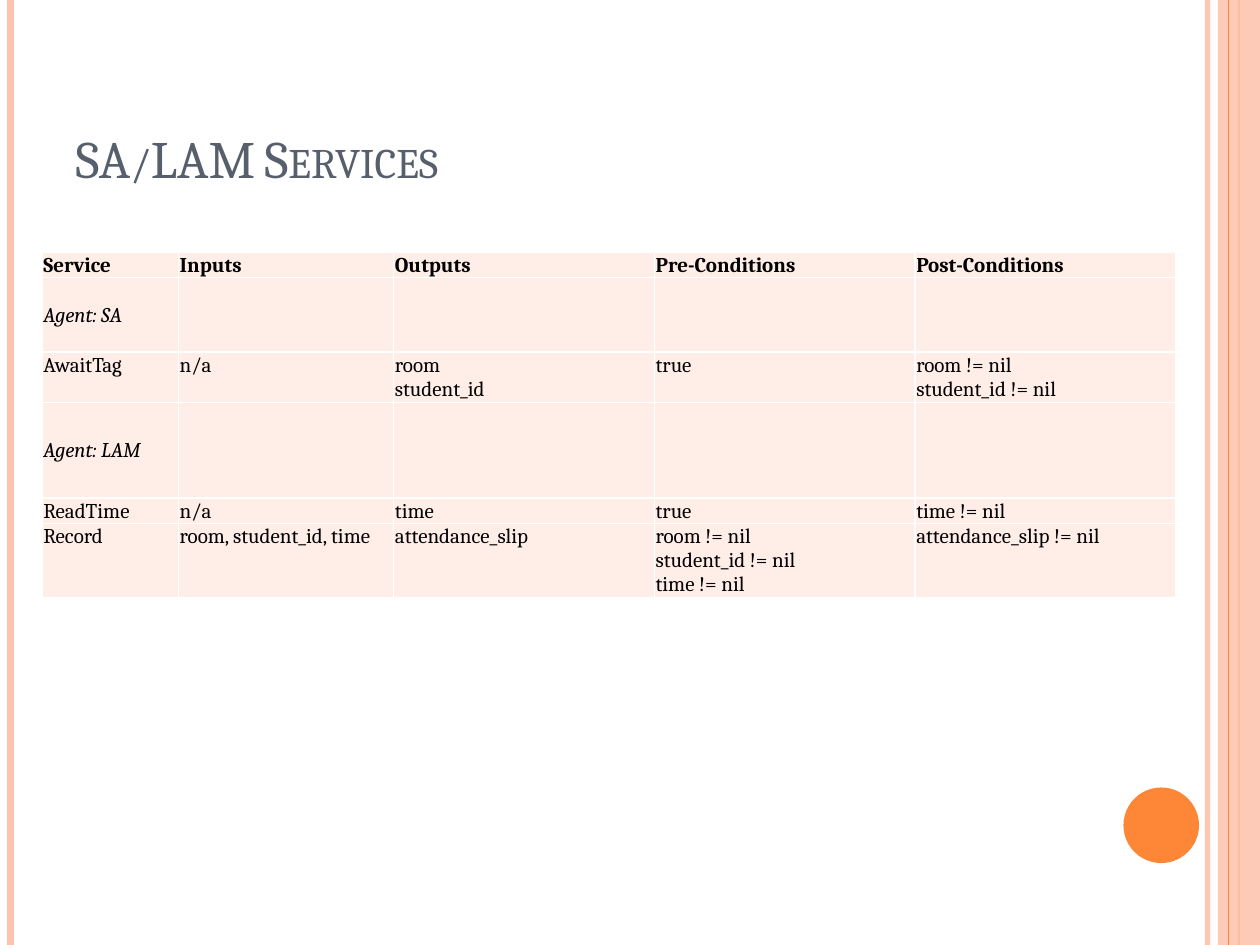
from dataclasses import dataclass

import pptx
import pptx.dml.color
import pptx.enum.shapes
import pptx.enum.text
import pptx.oxml
import pptx.oxml.ns
import pptx.util
from pptx.oxml.ns import qn

Anchor = pptx.enum.text.MSO_ANCHOR
Shape = pptx.enum.shapes.MSO_SHAPE


@dataclass(frozen=True)
class Theme:
    font: str = "Cambria"
    title_size: int = 30
    body_size: int = 12
    title: str = "575F6D"
    text: str = "000000"
    accent: str = "FE8637"
    pale: str = "FEC3AE"
    cell: str = "FFEDE8"
    border: str = "FFFFFF"


@dataclass(frozen=True)
class Box:
    """Place and size in grid units."""
    left: float
    top: float
    width: float
    height: float


@dataclass(frozen=True)
class Rail:
    """Vertical line over the full slide height."""
    column: float
    color: str
    weight: float
    opacity: int = 100


@dataclass(frozen=True)
class ServiceRow:
    height: float
    texts: tuple[str, ...]
    anchor: Anchor = Anchor.TOP
    bold: bool = False
    italic: bool = False


THEME = Theme()
GRID_COLUMNS, GRID_ROWS = 120, 90
SLIDE_WIDTH = pptx.util.Inches(10)
SLIDE_HEIGHT = pptx.util.Inches(7.5)

TITLE_BOX = Box(6, 3.6, 98, 15)
SIDEBAR = Box(116, 0, 4, GRID_ROWS)
DISC = Box(107, 75, 7.2, 7.2)
RAILS_BEHIND = (
    Rail(115, THEME.pale, 3, 93),
    Rail(1, THEME.pale, 4.5),
    Rail(118, THEME.accent, 1.5),
)
RAIL_IN_FRONT = Rail(117, THEME.accent, 0.75)

TABLE_LEFT, TABLE_TOP = 4, 24
TABLE_COLUMNS = (13, 20.5, 24.83, 24.83, 24.83)
SERVICES = (
    ServiceRow(2.4, ("Service", "Inputs", "Outputs", "Pre-Conditions", "Post-Conditions"),
               Anchor.BOTTOM, bold=True),
    ServiceRow(7.1, ("Agent: SA",), Anchor.MIDDLE, italic=True),
    ServiceRow(4.8, ("AwaitTag", "n/a", "room\vstudent_id", "true",
                     "room != nil\vstudent_id != nil")),
    ServiceRow(9.1, ("Agent: LAM",), Anchor.MIDDLE, italic=True),
    ServiceRow(2.4, ("ReadTime", "n/a", "time", "true", "time != nil"), Anchor.BOTTOM),
    ServiceRow(7.1, ("Record", "room, student_id, time", "attendance_slip",
                     "room != nil\vstudent_id != nil\vtime != nil",
                     "attendance_slip != nil")),
)


def grid_x(columns: float) -> int:
    return round(SLIDE_WIDTH * columns / GRID_COLUMNS)


def grid_y(rows: float) -> int:
    return round(SLIDE_HEIGHT * rows / GRID_ROWS)


def place(box: Box) -> tuple[int, int, int, int]:
    return grid_x(box.left), grid_y(box.top), grid_x(box.width), grid_y(box.height)


def rgb(color: str) -> pptx.dml.color.RGBColor:
    return pptx.dml.color.RGBColor.from_string(color)


def set_opacity(sp, percent: int) -> None:
    color = next(sp._element.spPr.iter(qn("a:srgbClr")))
    color.append(pptx.oxml.parse_xml(
        f'<a:alpha {pptx.oxml.ns.nsdecls("a")} val="{percent * 1000}"/>'))


def format_runs(tf, size: int, color: str, bold: bool = False, italic: bool = False) -> None:
    for p in tf.paragraphs:
        for r in p.runs:
            r.font.name = THEME.font
            r.font.size = pptx.util.Pt(size)
            r.font.bold = bold
            r.font.italic = italic
            r.font.color.rgb = rgb(color)


def add_rail(slide, rail: Rail) -> None:
    x = grid_x(rail.column)
    sp = slide.shapes.add_connector(
        pptx.enum.shapes.MSO_CONNECTOR.STRAIGHT, x, 0, x, SLIDE_HEIGHT)
    sp.line.color.rgb = rgb(rail.color)
    sp.line.width = pptx.util.Pt(rail.weight)
    if rail.opacity < 100:
        set_opacity(sp, rail.opacity)
    sp._element.spPr.append(pptx.oxml.parse_xml(
        f'<a:effectLst {pptx.oxml.ns.nsdecls("a")}/>'))


def add_panel(slide, kind: Shape, box: Box, color: str, opacity: int = 100) -> None:
    sp = slide.shapes.add_shape(kind, *place(box))
    sp.shadow.inherit = False
    sp.fill.solid()
    sp.fill.fore_color.rgb = rgb(color)
    sp.line.fill.background()
    if opacity < 100:
        set_opacity(sp, opacity)


def set_title(slide, text: str) -> None:
    title = slide.shapes.title
    title.left, title.top, title.width, title.height = place(TITLE_BOX)
    tf = title.text_frame
    tf.text = text
    tf.vertical_anchor = Anchor.BOTTOM
    p = tf.paragraphs[0]
    p.alignment = pptx.enum.text.PP_ALIGN.LEFT
    format_runs(tf, THEME.title_size, THEME.title)
    p.runs[0].font._element.set("cap", "small")


def add_borders(cell) -> None:
    tc_pr = cell._tc.get_or_add_tcPr()
    for i, side in enumerate("LRTB"):
        tc_pr.insert(i, pptx.oxml.parse_xml(
            f'<a:ln{side} {pptx.oxml.ns.nsdecls("a")} w="12700"><a:solidFill>'
            f'<a:srgbClr val="{THEME.border}"/></a:solidFill></a:ln{side}>'))


def format_cell(cell, row: ServiceRow, text: str) -> None:
    cell.fill.solid()
    cell.fill.fore_color.rgb = rgb(THEME.cell)
    add_borders(cell)
    if text:
        cell.margin_left = cell.margin_right = cell.margin_top = pptx.util.Inches(0.01)
        cell.margin_bottom = 0
        cell.vertical_anchor = row.anchor
        cell.text_frame.text = text
        format_runs(cell.text_frame, THEME.body_size, THEME.text, row.bold, row.italic)


def add_service_table(slide) -> None:
    box = Box(TABLE_LEFT, TABLE_TOP, sum(TABLE_COLUMNS), sum(row.height for row in SERVICES))
    table = slide.shapes.add_table(len(SERVICES), len(TABLE_COLUMNS), *place(box)).table
    table.first_row = table.horz_banding = False
    for column, width in zip(table.columns, TABLE_COLUMNS):
        column.width = grid_x(width)
    for i, row in enumerate(SERVICES):
        table.rows[i].height = grid_y(row.height)
        for j in range(len(TABLE_COLUMNS)):
            text = row.texts[j] if j < len(row.texts) else ""
            format_cell(table.cell(i, j), row, text)


def main() -> None:
    prs = pptx.Presentation()
    prs.slide_width, prs.slide_height = SLIDE_WIDTH, SLIDE_HEIGHT
    slide = prs.slides.add_slide(prs.slide_layouts.get_by_name("Title Only"))
    for rail in RAILS_BEHIND:
        add_rail(slide, rail)
    add_panel(slide, Shape.RECTANGLE, SIDEBAR, THEME.pale, 87)
    add_rail(slide, RAIL_IN_FRONT)
    add_panel(slide, Shape.OVAL, DISC, THEME.accent)
    set_title(slide, "SA/LAM Services")
    add_service_table(slide)
    prs.save("out.pptx")


if __name__ == "__main__":
    main()
